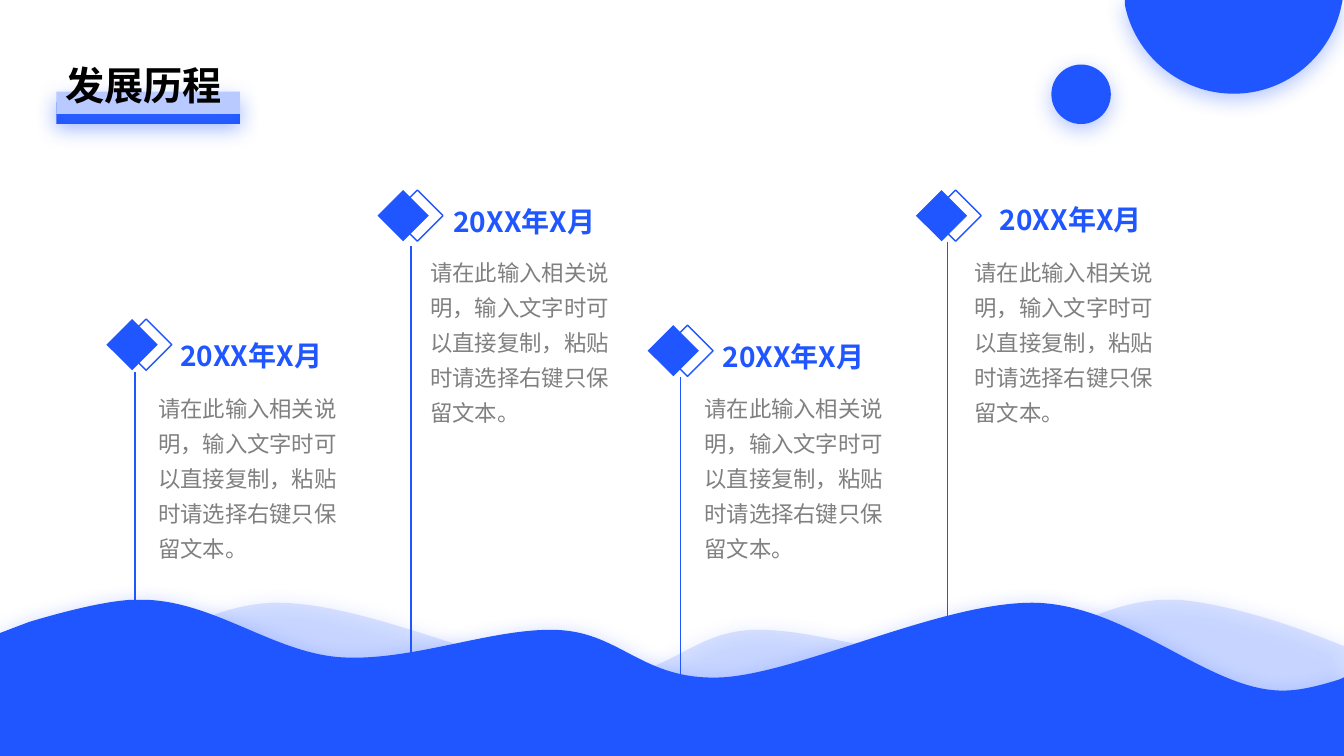
from dataclasses import dataclass

from lxml.etree import SubElement
from pptx import Presentation
from pptx.dml.color import RGBColor
from pptx.enum.lang import MSO_LANGUAGE_ID
from pptx.enum.shapes import MSO_CONNECTOR, MSO_SHAPE
from pptx.enum.text import MSO_ANCHOR, MSO_AUTO_SIZE, PP_ALIGN
from pptx.oxml.ns import qn
from pptx.util import Inches, Pt

BLUE = RGBColor(0x20, 0x56, 0xFF)
PALE_BLUE = RGBColor(0xB8, 0xCA, 0xFF)
PALE_SHADOW = RGBColor(0x4A, 0x78, 0xFF)
GRAY = RGBColor(0x80, 0x80, 0x80)
BLACK = RGBColor(0, 0, 0)
CJK_FONT = "Noto Sans CJK SC"
COLUMNS, ROWS = 133.33, 75
MARKER = 3.6
DETAIL = "请在此输入相关说明，输入文字时可以直接复制，粘贴时请选择右键只保留文本。"
CREST = [
    (14.4, 59.5), (21.3, 59.7), (27.1, 64.7), (33.7, 65.2),
    (40.8, 65.7), (49, 62.2), (55.4, 62.5),
    (61.7, 62.8), (63.8, 67.6), (71.7, 67.2),
    (79.6, 66.7), (93.6, 59.6), (102.8, 59.8),
    (111.9, 60.1), (119.6, 68.2), (126.8, 68.5),
]
BACK_CREST = [(129.9 - x, y) for x, y in reversed(CREST)]


@dataclass
class Milestone:
    """Grid places of the parts of one milestone."""
    marker: tuple
    stem: tuple
    label: tuple
    detail: tuple


MILESTONES = [
    Milestone((11.3, 32.4), (13.4, 36.9, 63.6), (16.9, 33.1), (14.7, 37.9)),
    Milestone((38.2, 19.6), (40.8, 24.4, 66.3), (44, 19.8), (41.7, 24.4)),
    Milestone((65, 33), (67.5, 37.4, 75), (70.7, 33.2), (68.9, 37.9)),
    Milestone((91.6, 19.6), (94, 24, 68), (98.2, 19.6), (95.7, 24.4)),
]


def cells(*counts):
    """Turn counts of tenth-inch grid cells into lengths."""
    return [Inches(count / 10) for count in counts]


def set_shadow(shape, color):
    """Give a shape a soft coloured shadow straight below it."""
    shape.shadow.inherit = False
    effects = shape.element.spPr.find(qn("a:effectLst"))
    shadow = SubElement(effects, qn("a:outerShdw"), blurRad=str(Pt(15)),
                        dist=str(Pt(4)), dir="5400000", algn="t", rotWithShape="0")
    tint = SubElement(shadow, qn("a:srgbClr"), val=str(color))
    SubElement(tint, qn("a:alpha"), val="32000")


def paint(shape, fill=None, line=None):
    """Set the fill and the outline of a shape and drop its shadow."""
    shape.shadow.inherit = False
    if fill is None:
        shape.fill.background()
    else:
        shape.fill.solid()
        shape.fill.fore_color.rgb = fill
    if line is None:
        shape.line.fill.background()
    else:
        shape.line.color.rgb = line
        shape.line.width = Pt(1)


def add_preset(page, kind, place, fill=None, line=None, turn=0):
    """Add a preset shape at a grid place."""
    shape = page.shapes.add_shape(kind, *cells(*place))
    shape.rotation = turn
    paint(shape, fill, line)
    return shape


def curves(points):
    """Group points in threes, one group for each curve."""
    return [points[index:index + 3] for index in range(0, len(points), 3)]


def add_outline(page, start, segments, fill):
    """Add a closed shape of lines (one point) and curves (three points)."""
    builder = page.shapes.build_freeform(*cells(*start))
    builder.add_line_segments([cells(*segment[-1]) for segment in segments], close=True)
    shape = builder.convert_to_shape()
    lines = list(shape.element.iter(qn("a:lnTo")))
    for line, segment in zip(lines, segments):
        if len(segment) == 3:
            line.tag = qn("a:cubicBezTo")
            for index, control in enumerate(segment[:2]):
                x, y = cells(*control)
                point = SubElement(line, qn("a:pt"), x=str(x - shape.left), y=str(y - shape.top))
                line.insert(index, point)
    paint(shape, fill)
    set_shadow(shape, BLUE)
    return shape


def add_wave(page, start, segments, fill):
    """Add a wave that fills the page below its crest."""
    return add_outline(page, start, segments + [[(COLUMNS, ROWS)], [(0, ROWS)]], fill)


def add_waves(page):
    """Add the pale wave and, in front, its mirrored blue twin."""
    back = add_wave(page, (0, 68.2), [
        [(0.2, 68.2)], [(1.2, 68.4), (2.2, 68.5), BACK_CREST[0]],
        *curves(BACK_CREST[1:]),
        [(115.9, 59.5), (116.4, 59.5), (116.9, 59.5)],
        [(120.6, 59.8), (125.8, 61.2), (130.5, 63)], [(COLUMNS, 64.1)],
    ], PALE_BLUE)
    tint = back.element.spPr.find(qn("a:solidFill"))[0]
    SubElement(tint, qn("a:alpha"), val="54000")
    add_wave(page, (0, 62.8), [
        [(2.9, 61.7)], [(6.6, 60.6), (10.2, 59.7), (13, 59.5)],
        [(13.5, 59.5), (13.9, 59.5), CREST[0]],
        *curves(CREST[1:]),
        [(128.6, 68.6), (130.7, 68.1), (132.9, 67.4)], [(COLUMNS, 67.2)],
    ], BLUE)


def add_decoration(page):
    """Add the title bars, the circles and the waves."""
    bars = ((10.1, BLUE, BLUE), (9.1, PALE_BLUE, PALE_SHADOW))
    for top, fill, shadow in bars:
        set_shadow(add_preset(page, MSO_SHAPE.RECTANGLE, (5.6, top, 18.2, 2.2), fill), shadow)
    set_shadow(add_preset(page, MSO_SHAPE.OVAL, (104.3, 6.4, 5.9, 5.9), BLUE), BLUE)
    add_outline(page, (111.6, 0), [
        [(133.2, 0)], [(133.1, 0.5)],
        [(132.1, 5.5), (127.7, 9.3), (122.4, 9.3)],
        [(117.1, 9.3), (112.6, 5.5), (111.6, 0.5)],
    ], BLUE)
    add_waves(page)


def format_text(para, size, color, bold=False, font=CJK_FONT):
    """Format the runs of a left-aligned paragraph."""
    para.alignment = PP_ALIGN.LEFT
    for span in para.runs:
        span.font.size, span.font.bold, span.font.name = Pt(size), bold, font
        span.font.color.rgb = color
        span.font.language_id = MSO_LANGUAGE_ID.SIMPLIFIED_CHINESE
        properties = span.font._element
        east_asian = SubElement(properties, qn("a:ea"), typeface=CJK_FONT)
        properties.find(qn("a:latin")).addnext(east_asian)


def add_text(page, place, text, size, color, bold=False, wrap=True):
    """Add a text box of one paragraph and return the paragraph."""
    frame = page.shapes.add_textbox(*cells(*place)).text_frame
    frame.text = text
    frame.word_wrap = wrap
    frame.auto_size = MSO_AUTO_SIZE.NONE
    format_text(frame.paragraphs[0], size, color, bold)
    return frame.paragraphs[0]


def add_stem(page, column, top, bottom):
    """Add the vertical line from a marker down to the wave."""
    stem = page.shapes.add_connector(MSO_CONNECTOR.STRAIGHT, *cells(column, top, column, bottom))
    stem.line.color.rgb = BLUE
    stem.line.width = Pt(1.25)
    SubElement(stem.element.spPr, qn("a:effectLst"))


def add_milestone(page, milestone):
    """Add the marker, date and detail of a milestone."""
    left, top = milestone.marker
    add_preset(page, MSO_SHAPE.RECTANGLE, (left, top, MARKER, MARKER), fill=BLUE, turn=45)
    add_preset(page, MSO_SHAPE.RECTANGLE, (left + 1.4, top, MARKER, MARKER), line=BLUE, turn=45)
    add_text(page, (*milestone.label, 18.5, 4.4), "20XX年X月", 20, BLUE, bold=True, wrap=False)
    para = add_text(page, (*milestone.detail, 21.7, 18.5), DETAIL, 16, GRAY)
    para.line_spacing = 1.3


def add_title(page, text):
    """Place and format the title, in front of its bars."""
    title = page.shapes.title
    title.left, title.top, title.width, title.height = cells(5.5, 6.1, 55.6, 5.2)
    frame = title.text_frame
    frame.text = text
    frame.auto_size = MSO_AUTO_SIZE.NONE
    frame.vertical_anchor = MSO_ANCHOR.MIDDLE
    frame.paragraphs[0].line_spacing = 0.9
    format_text(frame.paragraphs[0], 28, BLACK, bold=True, font="Arial")
    page.shapes._spTree.append(title.element)


def main():
    """Build the timeline slide."""
    deck = Presentation()
    deck.slide_width, deck.slide_height = cells(COLUMNS, ROWS)
    page = deck.slides.add_slide(deck.slide_layouts[5])
    add_decoration(page)
    for milestone in MILESTONES:
        add_stem(page, *milestone.stem)
    for milestone in MILESTONES:
        add_milestone(page, milestone)
    add_title(page, "发展历程")
    deck.save("out.pptx")


if __name__ == "__main__":
    main()
